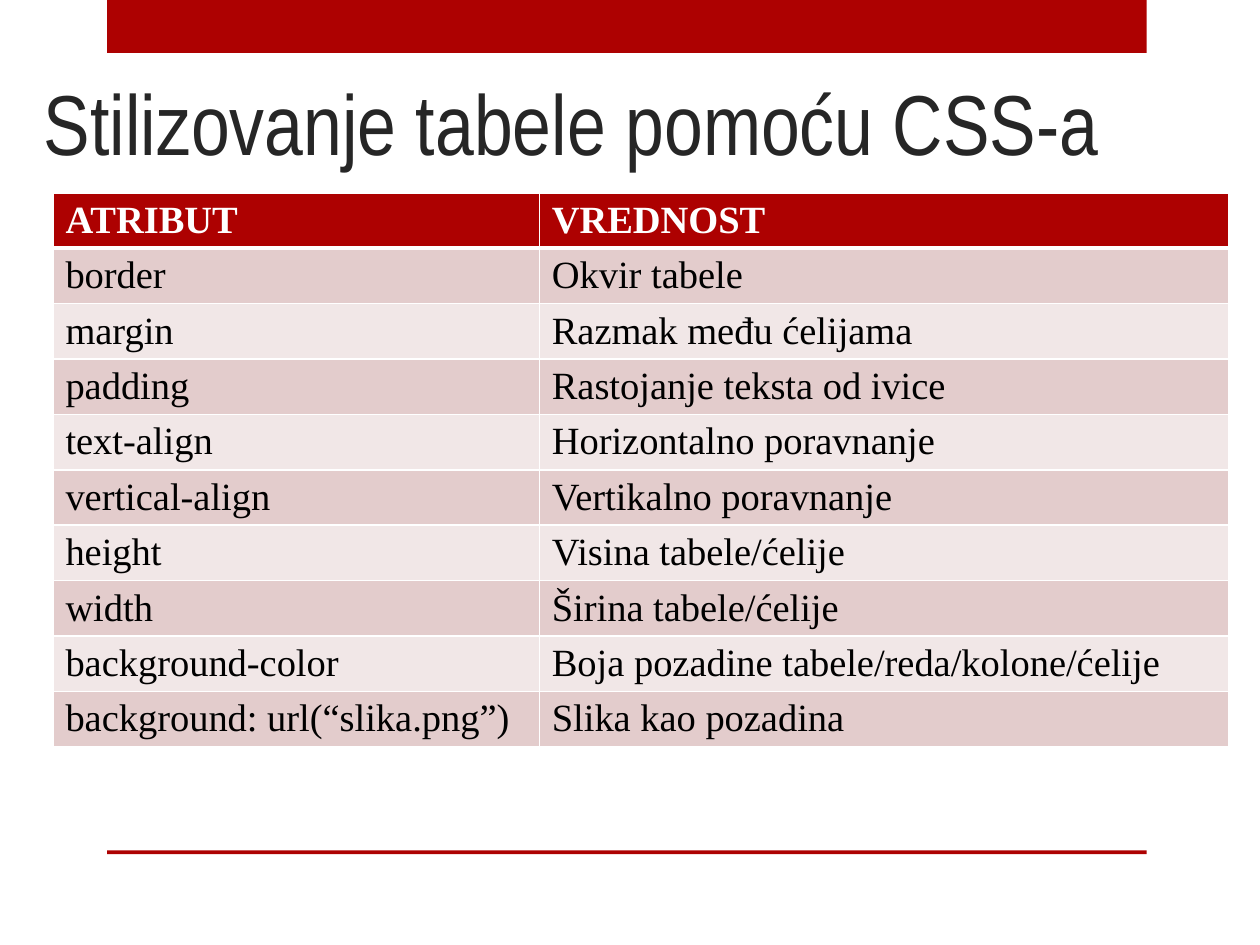
from lxml import etree
from pptx import Presentation
from pptx.dml.color import RGBColor
from pptx.enum.shapes import MSO_SHAPE
from pptx.enum.text import MSO_ANCHOR
from pptx.oxml.ns import qn
from pptx.util import Inches, Pt

RECT = MSO_SHAPE.RECTANGLE
BOTTOM = MSO_ANCHOR.BOTTOM

TITLE = "Stilizovanje tabele pomoću CSS-a"
ROWS = [
    ("ATRIBUT", "VREDNOST"),
    ("border", "Okvir tabele"),
    ("margin", "Razmak među ćelijama"),
    ("padding", "Rastojanje teksta od ivice"),
    ("text-align", "Horizontalno poravnanje"),
    ("vertical-align", "Vertikalno poravnanje"),
    ("height", "Visina tabele/ćelije"),
    ("width", "Širina tabele/ćelije"),
    ("background-color", "Boja pozadine tabele/reda/kolone/ćelije"),
    ("background: url(“slika.png”)", "Slika kao pozadina"),
]
COLORS = {"red": "AD0101", "dark": "262626", "white": "FFFFFF",
          "black": "000000", "odd": "E3CCCC", "even": "F1E7E7"}
BARS = [(0, 0.42), (6.75, 0.03)]  # top, height
COL_WIDTHS = (3.86, 5.47)
ROW_HEIGHT = 0.44


def rgb(name):
    """Return the named colour."""
    return RGBColor.from_string(COLORS[name])


def add_run(p, text, font, size, color, bold=False):
    """Add one formatted run to a paragraph."""
    r = p.add_run()
    r.text = text
    r.font.name = font
    r.font.size = Pt(size)
    r.font.bold = bold
    r.font.color.rgb = rgb(color)


def add_bar(slide, top, height):
    """Draw a red bar across the content width."""
    sp = slide.shapes.add_shape(RECT, Inches(0.85), Inches(top),
                                Inches(8.25), Inches(height))
    sp.shadow.inherit = False
    sp.fill.solid()
    sp.fill.fore_color.rgb = rgb("red")
    sp.line.fill.background()


def set_borders(cell, top, bottom):
    """Give a cell white borders, 1 pt at the sides."""
    tc_pr = cell._tc.get_or_add_tcPr()
    for side, width in (("L", 1), ("R", 1), ("T", top), ("B", bottom)):
        ln = etree.SubElement(tc_pr, qn(f"a:ln{side}"), w=str(Pt(width)))
        fill = etree.SubElement(ln, qn("a:solidFill"))
        etree.SubElement(fill, qn("a:srgbClr"), val=COLORS["white"])


def add_title(slide):
    """Add the bottom-anchored title."""
    box = slide.shapes.add_textbox(Inches(0.25), Inches(0.42), Inches(9.5), Inches(1))
    tf = box.text_frame
    tf.word_wrap = True
    tf.vertical_anchor = BOTTOM
    add_run(tf.paragraphs[0], TITLE, "Arial Narrow", 48.6, "dark")


def add_attribute_table(slide):
    """Add the table of CSS attributes with banded rows."""
    table = slide.shapes.add_table(
        len(ROWS), len(COL_WIDTHS), Inches(0.42), Inches(1.53),
        Inches(sum(COL_WIDTHS)), Inches(ROW_HEIGHT * len(ROWS))).table
    for col, width in zip(table.columns, COL_WIDTHS):
        col.width = Inches(width)
    for i, texts in enumerate(ROWS):
        header = i == 0
        band = "red" if header else "odd" if i % 2 else "even"
        table.rows[i].height = Inches(ROW_HEIGHT)
        for j, text in enumerate(texts):
            cell = table.cell(i, j)
            cell.margin_bottom = Inches(0.02)
            set_borders(cell, top=3 if i == 1 else 1, bottom=3 if header else 1)
            cell.fill.solid()
            cell.fill.fore_color.rgb = rgb(band)
            add_run(cell.text_frame.paragraphs[0], text, "Times New Roman", 22,
                    "white" if header else "black", header)


prs = Presentation()
prs.slide_width, prs.slide_height = Inches(10), Inches(7.5)
slide = prs.slides.add_slide(prs.slide_layouts[6])
for top, height in BARS:
    add_bar(slide, top, height)
add_title(slide)
add_attribute_table(slide)
prs.save("out.pptx")
